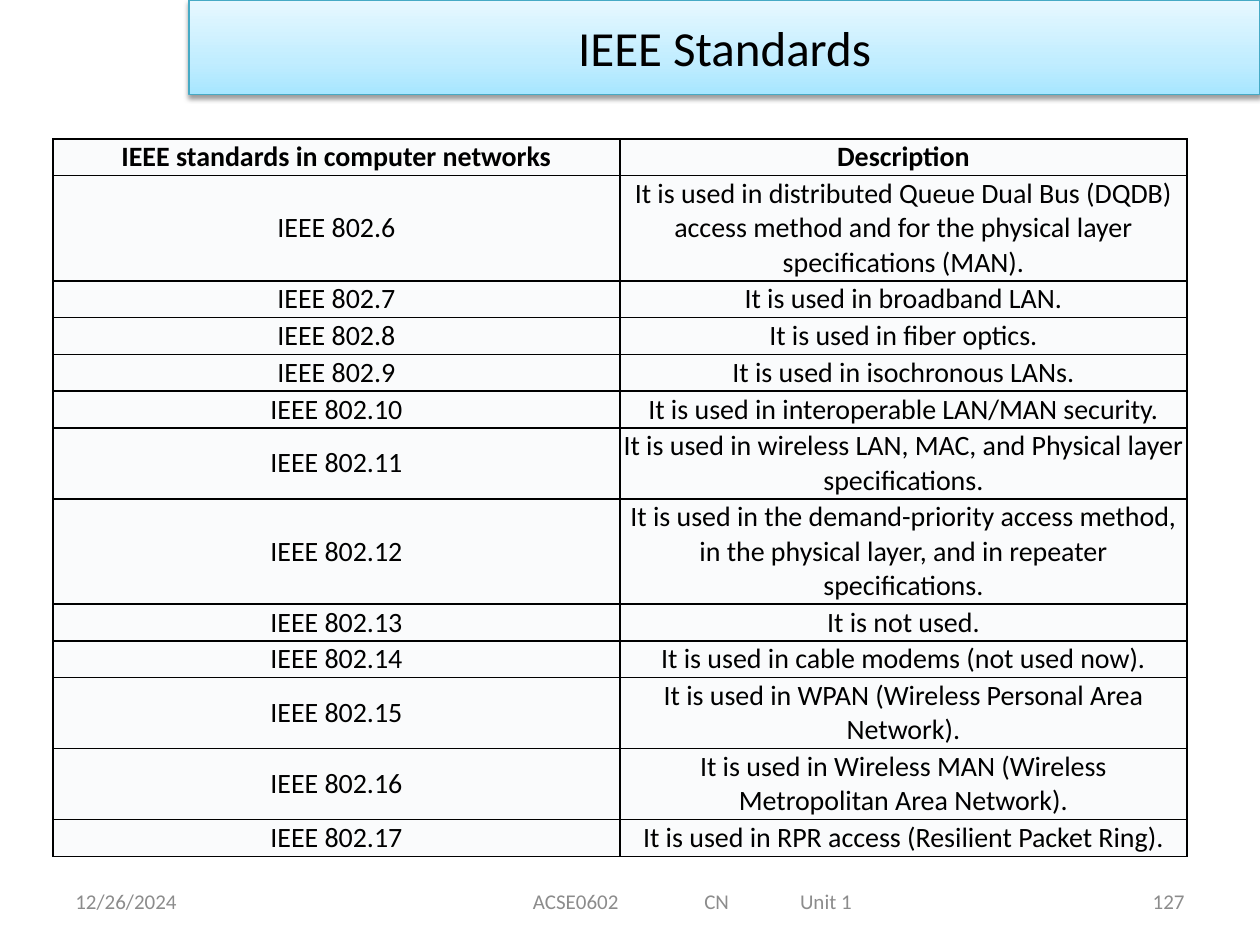
from copy import deepcopy

from pptx import Presentation, util as u
from pptx.dml.color import RGBColor
from pptx.enum import text
from pptx.oxml import parse_xml
from pptx.oxml.ns import nsdecls

COLORS = {
    "black": "000000",
    "footer": "8C8C8C",
    "cell": "FAFBFC",
    "title_line": "46AAC5",
}
TITLE_GRADIENT = [(0, "A7E6FF"), (0.35, "C1EDFF"), (1, "E7F8FF")]

# Each standard with its description and the number of text lines in its row
HEADER = ("IEEE standards in computer networks", "Description", 1)
STANDARDS = [
    ("IEEE 802.6", "It is used in distributed Queue Dual Bus (DQDB) access method "
                   "and for the physical layer specifications (MAN).", 3),
    ("IEEE 802.7", "It is used in broadband LAN.", 1),
    ("IEEE 802.8", "It is used in fiber optics.", 1),
    ("IEEE 802.9", "It is used in isochronous LANs.", 1),
    ("IEEE 802.10", "It is used in interoperable LAN/MAN security.", 1),
    ("IEEE 802.11", "It is used in wireless LAN, MAC, and Physical layer specifications.", 2),
    ("IEEE 802.12", "It is used in the demand-priority access method, in the physical "
                    "layer, and in repeater specifications.", 3),
    ("IEEE 802.13", "It is not used.", 1),
    ("IEEE 802.14", "It is used in cable modems (not used now).", 1),
    ("IEEE 802.15", "It is used in WPAN (Wireless Personal Area Network).", 2),
    ("IEEE 802.16", "It is used in Wireless MAN (Wireless Metropolitan Area Network).", 2),
    ("IEEE 802.17", "It is used in RPR access (Resilient Packet Ring).", 1),
]


class Deck:
    """Style and current slide; lengths are in cells of a 10 by 10 grid."""
    font = "Calibri"
    columns = rows = 10

    def __init__(self):
        self.presentation = Presentation()
        self.presentation.slide_width = u.Inches(10)
        self.presentation.slide_height = u.Inches(7.5)
        self.slide = self.presentation.slides.add_slide(self.presentation.slide_layouts[5])

    def box(self, left, top, width, height):
        column = self.presentation.slide_width / self.columns
        row = self.presentation.slide_height / self.rows
        return [round(n) for n in (left * column, top * row, width * column, height * row)]

    def set_text(self, frame, words, size, color="black", align="CENTER", bold=False, tabs=()):
        frame.word_wrap = True
        frame.vertical_anchor = text.MSO_ANCHOR.MIDDLE
        paragraph = frame.paragraphs[0]
        paragraph.text = words
        paragraph.alignment = text.PP_ALIGN[align]
        if tabs:
            stops = "".join(f'<a:tab pos="{u.Inches(tab)}" algn="l"/>' for tab in tabs)
            paragraph._p.get_or_add_pPr().append(
                parse_xml(f'<a:tabLst {nsdecls("a")}>{stops}</a:tabLst>'))
        font = paragraph.font
        font.name, font.size, font.bold = self.font, u.Pt(size), bold
        font.color.rgb = RGBColor.from_string(COLORS[color])

    def title(self, words, *place):
        shape = self.slide.shapes.title
        shape.left, shape.top, shape.width, shape.height = self.box(*place)
        shape.fill.gradient()
        shape.fill.gradient_angle = 90
        stops = shape._element.spPr.find(".//{*}gsLst")
        stops.append(deepcopy(stops[-1]))
        for stop, (position, color) in zip(shape.fill.gradient_stops, TITLE_GRADIENT):
            stop.position = position
            stop.color.rgb = RGBColor.from_string(color)
        shape.line.color.rgb = RGBColor.from_string(COLORS["title_line"])
        shape.line.width = u.Pt(0.75)
        shape.shadow.inherit = False
        shape._element.spPr.find("{*}effectLst").append(parse_xml(
            f'<a:outerShdw {nsdecls("a")} blurRad="{u.Pt(3.1)}" dist="{u.Pt(1.6)}" '
            f'dir="5400000" rotWithShape="0"><a:srgbClr val="{COLORS["black"]}">'
            '<a:alpha val="38000"/></a:srgbClr></a:outerShdw>'))
        self.set_text(shape.text_frame, words, 28)

    def label(self, words, *place, align="LEFT", inset=0.1, tabs=()):
        frame = self.slide.shapes.add_textbox(*self.box(*place)).text_frame
        frame.margin_left = u.Inches(inset)
        self.set_text(frame, words, 12, "footer", align, tabs=tabs)

    def cell(self, cell, words, bold):
        cell.margin_left = cell.margin_right = u.Inches(0.02)
        cell.margin_top = cell.margin_bottom = u.Inches(0.01)
        self.set_text(cell.text_frame, words, 16, bold=bold)
        cell.vertical_anchor = text.MSO_ANCHOR.MIDDLE
        for side in "LRTB":
            cell._tc.get_or_add_tcPr().append(parse_xml(
                f'<a:ln{side} {nsdecls("a")} w="{u.Pt(1)}"><a:solidFill>'
                f'<a:srgbClr val="{COLORS["black"]}"/></a:solidFill></a:ln{side}>'))
        cell.fill.solid()
        cell.fill.fore_color.rgb = RGBColor.from_string(COLORS["cell"])

    def table(self, entries, *place):
        table = self.slide.shapes.add_table(len(entries), 2, *self.box(*place)).table
        for index, (name, description, lines) in enumerate(entries):
            table.rows[index].height = u.Inches(0.02 + 0.27 * lines)
            for column, words in enumerate((name, description)):
                self.cell(table.cell(index, column), words, bold=index == 0)


def main():
    deck = Deck()
    # Title band
    deck.title("IEEE Standards", 1.5, 0, 8.5, 1)
    # Standards table
    deck.table([HEADER] + STANDARDS, 0.42, 1.47, 9, 7.6)
    # Footer: date, course, page number
    deck.label("12/26/2024", 0.5, 9.27, 2.33, 0.53)
    deck.label("ACSE0602\tCN\tUnit 1", 2.75, 9.27, 5.5, 0.53, inset=1.48, tabs=(1.36, 2.12))
    deck.label("127", 7.17, 9.27, 2.33, 0.53, align="RIGHT")
    deck.presentation.save("out.pptx")


if __name__ == "__main__":
    main()
